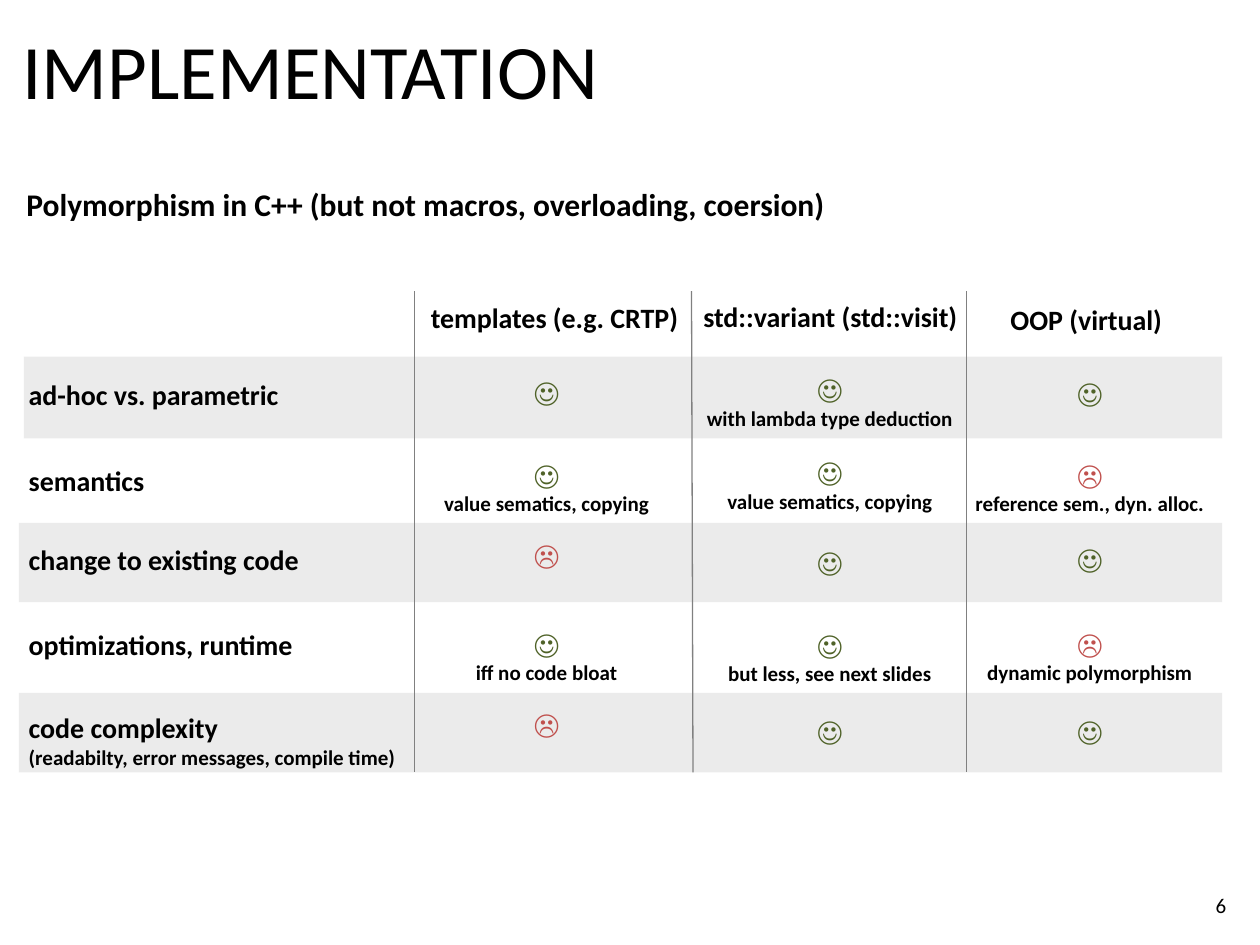
from lxml import etree
from pptx import Presentation
from pptx.dml.color import RGBColor
from pptx.enum.shapes import MSO_CONNECTOR, MSO_SHAPE
from pptx.enum.text import MSO_ANCHOR, MSO_AUTO_SIZE, PP_ALIGN
from pptx.oxml.ns import qn
from pptx.util import Cm, Pt

LEFT, CENTER, RIGHT = PP_ALIGN.LEFT, PP_ALIGN.CENTER, PP_ALIGN.RIGHT
TOP, MIDDLE = MSO_ANCHOR.TOP, MSO_ANCHOR.MIDDLE
RECT, STRAIGHT = MSO_SHAPE.RECTANGLE, MSO_CONNECTOR.STRAIGHT
NO_AUTOFIT = MSO_AUTO_SIZE.NONE

FONT = "Calibri"
BLACK = RGBColor(0x00, 0x00, 0x00)
WHITE = RGBColor(0xFF, 0xFF, 0xFF)
BAND_GRAY = RGBColor(0xD9, 0xD9, 0xD9)
LINE_GRAY = RGBColor(0x80, 0x80, 0x80)
GREEN = RGBColor(0x4F, 0x62, 0x28)
RED = RGBColor(0xC0, 0x50, 0x4D)
FACE_COLORS = {"☺": GREEN, "☹": RED}

# All lengths below are in centimetres
BANDS = [  # left, top, width, height, colour
    (0.48, 7.19, 24.16, 1.65, BAND_GRAY),
    (1.65, 8.86, 21.56, 1.73, WHITE),
    (0.38, 10.54, 24.26, 1.6, BAND_GRAY),
    (0.38, 13.97, 24.26, 1.6, BAND_GRAY),
]
DIVIDERS = [(8.36, 8.36), (13.94, 13.97), (19.48, 19.48)]  # x at top, x at bottom
DIVIDER_TOP, DIVIDER_BOTTOM = 5.87, 15.57
LABEL_LEFT, LABEL_WIDTH = 0.33, 9.5
COLUMNS = [(11.02, 5.82), (16.73, 5.82), (21.97, 5.23)]  # centre, width
HEADERS = [  # text, centre, top, width
    ("templates (e.g. CRTP)", 11.18, 5.94, 6.1),
    ("std::variant (std::visit)", 16.74, 5.92, 6.1),
    ("OOP (virtual)", 21.9, 5.97, 5.23),
]
ROWS = [  # label top, label lines, then top, face and remark for each column
    (7.49, ["ad-hoc vs. parametric"],
     [(7.42, "☺", ""), (7.37, "☺", "with lambda type deduction"), (7.44, "☺", "")]),
    (9.22, ["semantics"],
     [(9.09, "☺", "value sematics, copying"), (9.04, "☺", "value sematics, copying"),
      (9.09, "☹", "reference sem., dyn. alloc.")]),
    (10.82, ["change to existing code"],
     [(10.72, "☹", ""), (10.85, "☺", ""), (10.8, "☺", "")]),
    (12.52, ["optimizations, runtime"],
     [(12.5, "☺", "iff no code bloat"), (12.52, "☺", "but less, see next slides"),
      (12.5, "☹", "dynamic polymorphism")]),
    (14.2, ["code complexity", "(readabilty, error messages, compile time)"],
     [(14.12, "☹", ""), (14.25, "☺", ""), (14.25, "☺", "")]),
]


def place(s, left, top, width, height):
    s.left, s.top, s.width, s.height = Cm(left), Cm(top), Cm(width), Cm(height)


def style(p, size, color=BLACK, bold=True, align=LEFT):
    p.alignment = align
    p.font.name, p.font.size, p.font.bold = FONT, Pt(size), bold
    p.font.color.rgb = color


def fill_placeholder(s, text, size, bold):
    tf = s.text_frame
    tf.text = text
    tf.word_wrap, tf.auto_size, tf.vertical_anchor = True, NO_AUTOFIT, TOP
    style(tf.paragraphs[0], size, bold=bold)


def add_text(slide, left, top, width, lines, align=CENTER):
    """Bold text box: the first line is large, any further line small."""
    height = 0.94 if len(lines) == 1 else 1.45
    tf = slide.shapes.add_textbox(Cm(left), Cm(top), Cm(width), Cm(height)).text_frame
    tf.word_wrap = True
    for i, line in enumerate(lines):
        p = tf.add_paragraph() if i else tf.paragraphs[0]
        p.text = line
        style(p, 12 if i else 16, FACE_COLORS.get(line, BLACK), align=align)


def add_band(slide, left, top, width, height, color):
    s = slide.shapes.add_shape(RECT, Cm(left), Cm(top), Cm(width), Cm(height))
    s.shadow.inherit = False
    s.fill.solid()
    s.fill.fore_color.rgb = color
    s.line.fill.background()
    # Half transparent
    rgb = s.fill._xPr.find(".//" + qn("a:srgbClr"))
    etree.SubElement(rgb, qn("a:alpha")).set("val", "50000")


def add_divider(slide, x_top, x_bottom):
    s = slide.shapes.add_connector(STRAIGHT, Cm(x_top), Cm(DIVIDER_TOP),
                                   Cm(x_bottom), Cm(DIVIDER_BOTTOM))
    s.line.color.rgb = LINE_GRAY
    s.line.width = Pt(0.75)
    etree.SubElement(s._element.spPr, qn("a:effectLst"))


def add_slide_number(slide, text):
    s = slide.shapes.add_textbox(Cm(19.25), Cm(17.73), Cm(5.72), Cm(1.02))
    tf = s.text_frame
    tf.text = text
    tf.word_wrap, tf.vertical_anchor = True, MIDDLE
    style(tf.paragraphs[0], 12, bold=False, align=RIGHT)


def main():
    prs = Presentation()
    prs.slide_width, prs.slide_height = Cm(25.4), Cm(19.05)
    slide = prs.slides.add_slide(prs.slide_layouts[1])

    # Title and subheading
    title, body = slide.placeholders
    place(title, 0.2, 0.33, 22.86, 2.13)
    fill_placeholder(title, "IMPLEMENTATION", 44, False)
    place(body, 0.28, 3.61, 17, 2.1)
    fill_placeholder(body, "Polymorphism in C++ (but not macros, overloading, coersion)", 18, True)
    pPr = body.text_frame.paragraphs[0]._p.get_or_add_pPr()
    pPr.set("marL", "0")
    pPr.set("indent", "0")
    pPr.insert_element_before(etree.Element(qn("a:buNone")), "a:tabLst", "a:defRPr", "a:extLst")

    # Row bands and column dividers
    for band in BANDS:
        add_band(slide, *band)
    for divider in DIVIDERS:
        add_divider(slide, *divider)

    # Comparison grid
    for text, center, top, width in HEADERS:
        add_text(slide, center - width / 2, top, width, [text])
    for label_top, label, cells in ROWS:
        add_text(slide, LABEL_LEFT, label_top, LABEL_WIDTH, label, LEFT)
        for (center, width), (top, face, remark) in zip(COLUMNS, cells):
            lines = [face, remark] if remark else [face]
            add_text(slide, center - width / 2, top, width, lines)

    add_slide_number(slide, "6")
    prs.save("out.pptx")


if __name__ == "__main__":
    main()
